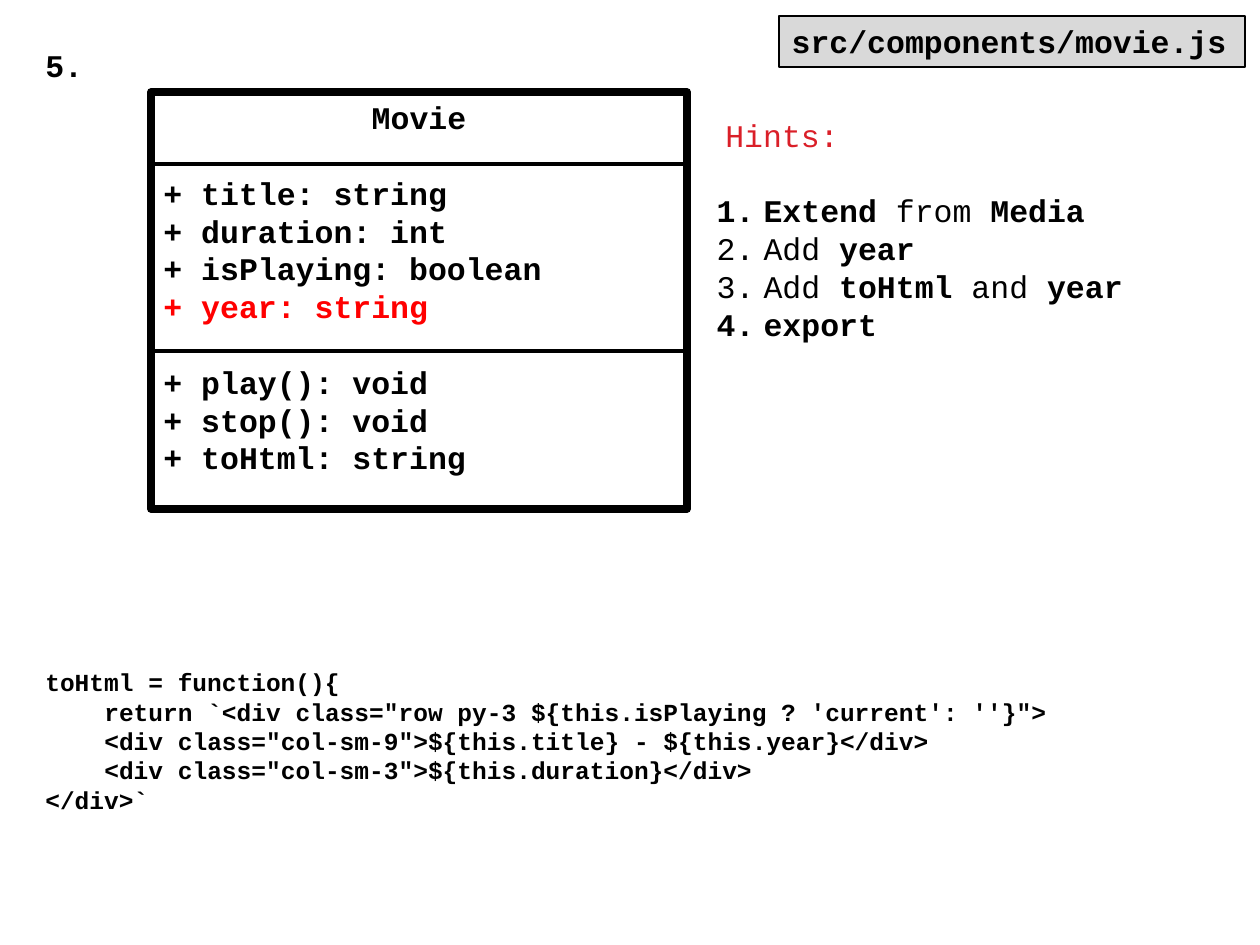
import pptx
import pptx.util
import pptx.dml.color
import pptx.enum.shapes
import pptx.enum.text
import pptx.oxml
import pptx.oxml.ns

THEME = {
    "font": "Courier New", "body": 18, "code": 14,
    "ink": "000000", "hint": "DA1F28", "new": "FF0000", "tab": "D9D9D9",
    "edge": 1, "frame": 4.33, "rule": 2.25, "gap": 21.6,
}
SIZE = (1260, 945)
PATH = ("src/components/movie.js", (779, 16, 466, 51))
MARK = ("5.", (33, 40, 63, 50))
HEAD = ("Hints:", (713, 110, 140, 50))
CARD = (151, 92, 536, 417)
RULES = (164, 351)
NAME = "Movie"
FIELDS = ["+ title: string", "+ duration: int", "+ isPlaying: boolean", "+ year: string"]
CALLS = ["+ play(): void", "+ stop(): void", "+ toHtml: string"]
ADDED = "+ year: string"
STEPS = [
    [("Extend", True), (" from ", False), ("Media", True)],
    [("Add ", False), ("year", True)],
    [("Add ", False), ("toHtml", True), (" and ", False), ("year", True)],
    [("export", True)],
]
STEP_BOX = (704, 185, 435, 394)
STEP_IN = 47
CODE = [
    (0, "toHtml = function(){"),
    (1, "return `<div class=\"row py-3 ${this.isPlaying ? 'current': ''}\">"),
    (1, "<div class=\"col-sm-9\">${this.title} - ${this.year}</div>"),
    (1, "<div class=\"col-sm-3\">${this.duration}</div>"),
    (0, "</div>`"),
]
CODE_BOX = (33, 661, 1196, 160)
CODE_IN = 59

ALIGN = pptx.enum.text.PP_ALIGN
FRAME = {
    "auto_size": pptx.enum.text.MSO_AUTO_SIZE.NONE,
    "vertical_anchor": pptx.enum.text.MSO_ANCHOR.TOP,
    "word_wrap": True,
}


def px(n):
    return pptx.util.Emu(round(n * 914400 / 126))


def rgb(key):
    return pptx.dml.color.RGBColor.from_string(THEME[key])


def apply(item, vals):
    for key, val in vals.items():
        setattr(item, key, val)


def place(shape, box):
    apply(shape, dict(zip(("left", "top", "width", "height"), map(px, box))))


def stroke(line, width):
    line.color.rgb = rgb("ink")
    line.width = pptx.util.Pt(THEME[width])


def para(runs, ink="ink", size="body", align=ALIGN.LEFT, gap=0, inset=0):
    return {"runs": runs, "ink": ink, "size": size, "align": align, "gap": gap, "inset": inset}


def write(shape, paras, wrap=True):
    frame = shape.text_frame
    apply(frame, {**FRAME, "word_wrap": wrap})
    for i, item in enumerate(paras):
        p = frame.paragraphs[0] if i == 0 else frame.add_paragraph()
        apply(p, {"alignment": item["align"], "space_before": pptx.util.Pt(item["gap"])})
        if item["inset"]:
            p._p.get_or_add_pPr().set("marL", str(px(item["inset"])))
        for text, bold in item["runs"]:
            run = p.add_run()
            run.text = text
            size = pptx.util.Pt(THEME[item["size"]])
            apply(run.font, {"name": THEME["font"], "size": size, "bold": bold})
            run.font.color.rgb = rgb(item["ink"])


def number(p):
    props = p._p.get_or_add_pPr()
    props.set("indent", str(-px(STEP_IN)))
    space = pptx.oxml.ns.nsdecls("a")
    for tag in (f'buFont {space} typeface="{THEME["font"]}"',
                f'buAutoNum {space} type="arabicPeriod"'):
        props.append(pptx.oxml.parse_xml(f"<a:{tag}/>"))


def label(text, box, ink, bold):
    shape = slide.shapes.add_textbox(*map(px, box))
    write(shape, [para([(text, bold)], ink)], False)


deck = pptx.Presentation()
apply(deck, dict(zip(("slide_width", "slide_height"), map(px, SIZE))))
slide = deck.slides.add_slide(deck.slide_layouts[1])

title = slide.shapes.title
place(title, PATH[1])
title.fill.solid()
title.fill.fore_color.rgb = rgb("tab")
stroke(title.line, "edge")
write(title, [para([(PATH[0], True)])])

label(*MARK, "ink", True)
label(*HEAD, "hint", False)

group = slide.shapes.add_group_shape()
card = group.shapes.add_shape(pptx.enum.shapes.MSO_SHAPE.RECTANGLE, *map(px, CARD))
card.shadow.inherit = False
card.fill.background()
stroke(card.line, "frame")
rows = [para([(NAME, True)], align=ALIGN.CENTER)]
for part in (FIELDS, CALLS):
    for i, text in enumerate(part):
        ink = "new" if text == ADDED else "ink"
        rows.append(para([(text, True)], ink, gap=0 if i else THEME["gap"]))
write(card, rows)
for y in RULES:
    ends = map(px, (CARD[0], y, CARD[0] + CARD[2], y))
    rule = group.shapes.add_connector(pptx.enum.shapes.MSO_CONNECTOR.STRAIGHT, *ends)
    stroke(rule.line, "rule")
    rule._element.spPr.append(pptx.oxml.parse_xml(
        f'<a:effectLst {pptx.oxml.ns.nsdecls("a")}/>'))

steps = slide.placeholders[1]
place(steps, STEP_BOX)
write(steps, [para(runs, inset=STEP_IN) for runs in STEPS])
for p in steps.text_frame.paragraphs:
    number(p)

code = slide.shapes.add_textbox(*map(px, CODE_BOX))
write(code, [para([(text, True)], size="code", inset=deep * CODE_IN) for deep, text in CODE])

deck.save("out.pptx")
